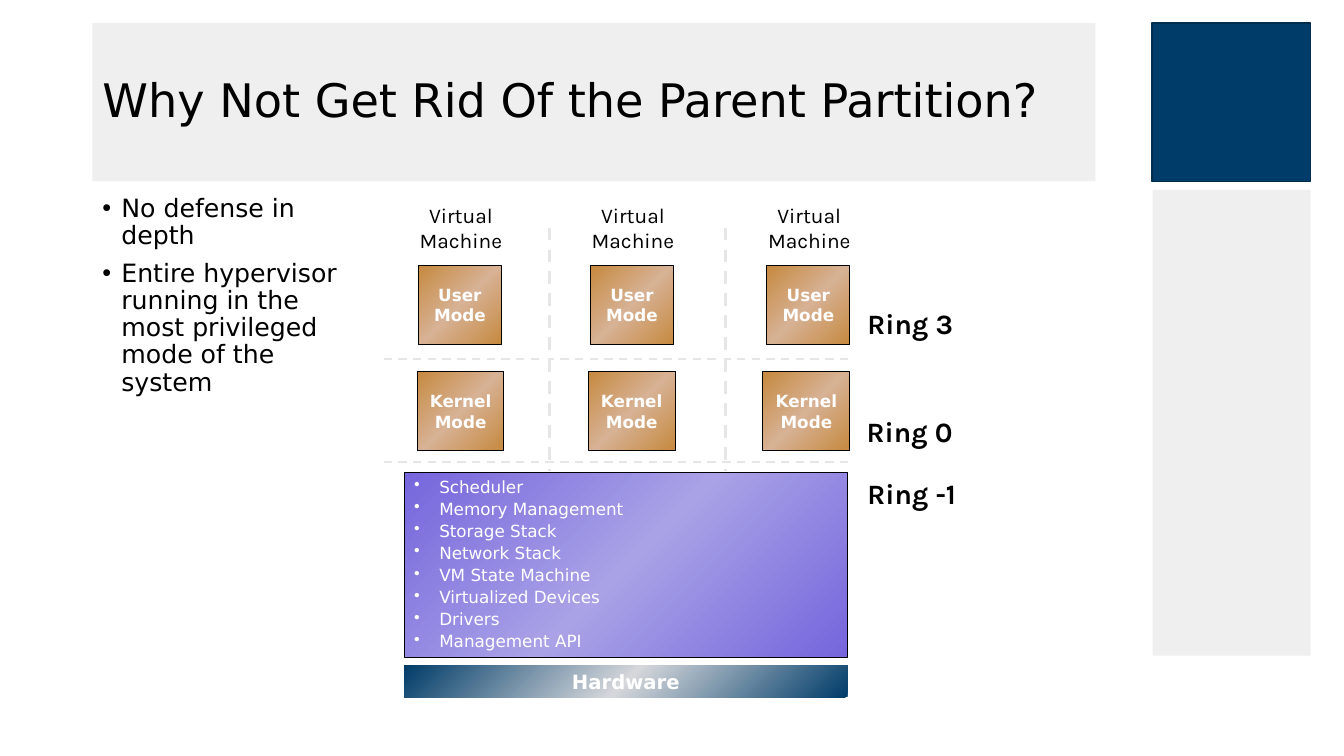
"""Build the slide on why the parent partition is kept in a hypervisor."""
import copy

import lxml.etree
import pptx
import pptx.dml.color
import pptx.enum.dml
import pptx.enum.shapes
import pptx.enum.text
import pptx.oxml
import pptx.oxml.ns
import pptx.util

Pt = pptx.util.Pt
RGB = pptx.dml.color.RGBColor.from_string
qn = pptx.oxml.ns.qn
ALIGN = pptx.enum.text.PP_ALIGN
MIDDLE = pptx.enum.text.MSO_ANCHOR.MIDDLE
COLORS = {
    "black": "000000", "white": "FFFFFF", "panel": "EFEFF0",
    "navy": "003C69", "navy edge": "002C4E", "silver": "D5D7DB",
    "purple": "7566DC", "lilac": "A9A2E6",
    "bronze": "C6893F", "sand": "D7B295", "divider": "E7E6E6",
}
SANS, KARLA = "DejaVu Sans", "Karla"

presentation = pptx.Presentation()
presentation.slide_width, presentation.slide_height = Pt(960), Pt(540)
slide = presentation.slides.add_slide(presentation.slide_layouts[1])


def add_box(left, top, width, height, fill, glow=None, edge=None, edge_width=0.75):
    """Add a rectangle, with a diagonal gradient when glow is given."""
    shape = slide.shapes.add_shape(pptx.enum.shapes.MSO_SHAPE.RECTANGLE,
                                   Pt(left), Pt(top), Pt(width), Pt(height))
    shape.shadow.inherit = False
    if glow:
        shape.fill.gradient()
        shape.fill.gradient_angle = 315
        stops = shape.fill.gradient_stops
        for stop, color, position in zip(stops, (fill, glow), (0, 0.5)):
            stop.color.rgb = RGB(COLORS[color])
            stop.position = position
        stop_list = shape.element.spPr.find(".//" + qn("a:gsLst"))
        last_stop = copy.deepcopy(stop_list[0])
        last_stop.set("pos", "100000")
        stop_list.append(last_stop)
    else:
        shape.fill.solid()
        shape.fill.fore_color.rgb = RGB(COLORS[fill])
    if edge:
        shape.line.color.rgb = RGB(COLORS[edge])
        shape.line.width = Pt(edge_width)
    else:
        shape.line.fill.background()
    return shape


def write(shape, lines, size, font=SANS, color="black", bold=False,
          align=ALIGN.LEFT, indent=None, spacing=None, before=0):
    """Write one paragraph per line, bulleted when an indent is given."""
    frame = shape.text_frame
    frame.text = "\n".join(lines)
    frame.word_wrap = True
    for paragraph in frame.paragraphs:
        paragraph.alignment = align
        paragraph.space_before = Pt(before)
        if spacing:
            paragraph.line_spacing = spacing
        paragraph.font.name = font
        paragraph.font.size = Pt(size)
        paragraph.font.bold = bold
        paragraph.font.color.rgb = RGB(COLORS[color])
        if indent:
            properties = paragraph._p.get_or_add_pPr()
            properties.set("marL", str(Pt(indent)))
            properties.set("indent", str(-Pt(indent)))
            bullet = pptx.oxml.parse_xml(
                f'<a:buChar {pptx.oxml.ns.nsdecls("a")} char="•"/>')
            properties.find(qn("a:defRPr")).addprevious(bullet)


add_box(823.3, 135.7, 113, 332.6, "panel")
add_box(823, 16.5, 113, 113, "navy", edge="navy edge", edge_width=1)

title = slide.shapes.title
title.left, title.top, title.width, title.height = Pt(66), Pt(16.5), Pt(716.5), Pt(113)
title.fill.solid()
title.fill.fore_color.rgb = RGB(COLORS["panel"])
write(title, ["Why Not Get Rid Of the Parent Partition?"], 33, spacing=0.9)
title.text_frame.vertical_anchor = MIDDLE

body = slide.placeholders[1]
body.left, body.top, body.width, body.height = Pt(66), Pt(136), Pt(203), Pt(332.6)
write(body, ["No defense in depth",
             "Entire hypervisor running in the most privileged mode of the system"],
      18, indent=13.5, spacing=0.9, before=7.5)
for placeholder in (title, body):
    placeholder.text_frame.auto_size = pptx.enum.text.MSO_AUTO_SIZE.NONE

hypervisor = add_box(288.7, 337.7, 316.8, 131.8, "purple", "lilac", "black")
write(hypervisor, ["Scheduler", "Memory Management", "Storage Stack", "Network Stack",
                   "VM State Machine", "Virtualized Devices", "Drivers",
                   "Management API"],
      12, color="white", indent=18, spacing=0.9, before=2.8)
hardware = add_box(288.7, 475.2, 316.8, 23, "navy", "silver")
write(hardware, ["Hardware"], 14, color="white", bold=True, align=ALIGN.CENTER)
for shape in (hypervisor, hardware):
    shape.text_frame.vertical_anchor = MIDDLE

dividers = [(604, 254.4, 268.6, 254.4, 1.5), (604, 328.3, 268.6, 328.3, 1.5),
            (390.5, 160.6, 390.5, 334.8, 2.25), (516, 160.6, 516, 334.8, 2.25)]
for x1, y1, x2, y2, width in dividers:
    divider = slide.shapes.add_connector(pptx.enum.shapes.MSO_CONNECTOR.STRAIGHT,
                                         Pt(x1), Pt(y1), Pt(x2), Pt(y2))
    divider.line.color.rgb = RGB(COLORS["white"])
    divider.line.width = Pt(width)
    divider.line.dash_style = pptx.enum.dml.MSO_LINE.DASH
    effects = lxml.etree.SubElement(divider.element.spPr, qn("a:effectLst"))
    shadow = lxml.etree.SubElement(effects, qn("a:outerShdw"), dist=str(Pt(2.8)),
                                   dir="2700000", algn="ctr", rotWithShape="0")
    lxml.etree.SubElement(shadow, qn("a:srgbClr"), val=COLORS["divider"])

labels = [(614, 337.7, 88, 30, ["Ring -1"], 20, True, ALIGN.LEFT),
          (613.5, 293, 88, 30, ["Ring 0"], 20, True, ALIGN.LEFT),
          (614, 216, 88, 30, ["Ring 3"], 20, True, ALIGN.LEFT)]
for user_center, kernel_center in ((328.5, 329), (451.4, 451.2), (577.4, 576)):
    labels.append((user_center - 36.8, 141.8, 75, 42.5, ["Virtual", "Machine"],
                   15, False, ALIGN.CENTER))
    for mode, center, top, width in (("User", user_center, 189.8, 59.5),
                                     ("Kernel", kernel_center, 265.6, 62)):
        box = add_box(center - width / 2, top, width, 56.4, "bronze", "sand", "black")
        write(box, [mode, "Mode"], 12, color="white", bold=True, align=ALIGN.CENTER)
        box.text_frame.vertical_anchor = MIDDLE
        box.text_frame.word_wrap = False

for left, top, width, height, lines, size, bold, align in labels:
    label = slide.shapes.add_textbox(Pt(left), Pt(top), Pt(width), Pt(height))
    write(label, lines, size, KARLA, bold=bold, align=align)
    frame = label.text_frame
    frame.margin_left = frame.margin_right = Pt(5.6)
    frame.margin_top = frame.margin_bottom = Pt(2.8)

presentation.save("out.pptx")
